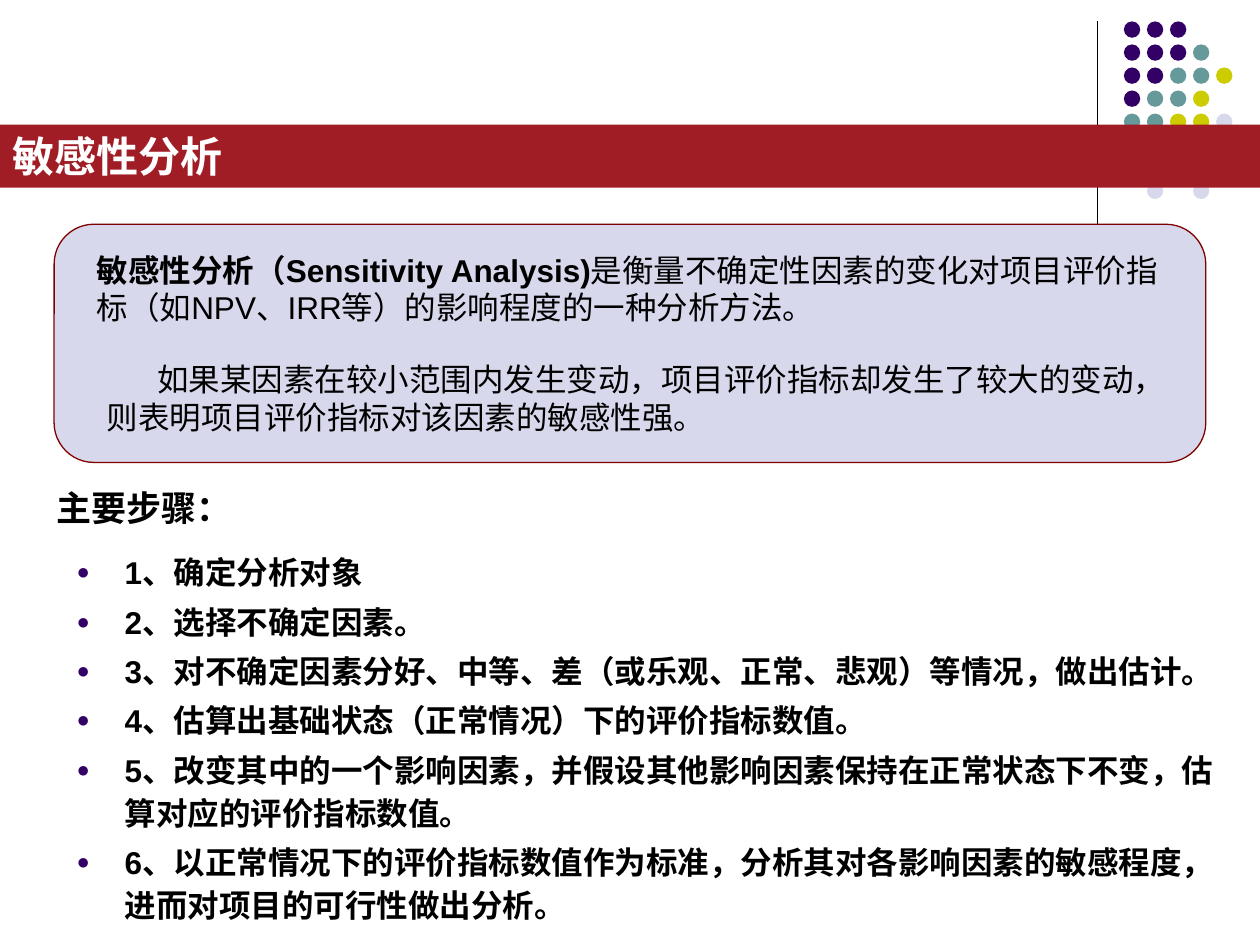
from dataclasses import dataclass

from lxml import etree
from pptx import Presentation
from pptx.dml.color import RGBColor
from pptx.enum.shapes import MSO_CONNECTOR, MSO_SHAPE
from pptx.enum.text import MSO_ANCHOR, PP_ALIGN
from pptx.oxml.ns import qn
from pptx.util import Inches, Pt

ELLIPSE = MSO_SHAPE.OVAL
RECTANGLE = MSO_SHAPE.RECTANGLE
ROUNDED = MSO_SHAPE.ROUNDED_RECTANGLE
STRAIGHT = MSO_CONNECTOR.STRAIGHT
JUSTIFY, LEFT = PP_ALIGN.JUSTIFY, PP_ALIGN.LEFT
MIDDLE, TOP = MSO_ANCHOR.MIDDLE, MSO_ANCHOR.TOP


@dataclass(frozen=True)
class Theme:
    font: str = "Arial"
    black: str = "000000"
    white: str = "FFFFFF"
    band: str = "A11D26"
    panel: str = "D8D8EC"
    panel_line: str = "800000"
    purple: str = "330066"
    teal: str = "669999"
    lime: str = "CCCC00"
    title_size: int = 24
    heading_size: int = 20
    body_size: int = 18
    line_width: float = 0.75


THEME = Theme()
DOT_COLORS = {"P": THEME.purple, "T": THEME.teal, "L": THEME.lime, "G": THEME.panel}
DOT_ROWS = ["PPP", "PPPT", "PPTTL", "PTTL", "TTLLG", "", "", " G G"]

STEPS = [
    "1、确定分析对象",
    "2、选择不确定因素。",
    "3、对不确定因素分好、中等、差（或乐观、正常、悲观）等情况，做出估计。",
    "4、估算出基础状态（正常情况）下的评价指标数值。",
    "5、改变其中的一个影响因素，并假设其他影响因素保持在正常状态下不变，估算对应的评价指标数值。",
    "6、以正常情况下的评价指标数值作为标准，分析其对各影响因素的敏感程度，进而对项目的可行性做出分析。",
]


def add_box(slide, kind, left, top, width, height, fill, line=None):
    shape = slide.shapes.add_shape(
        kind, Inches(left), Inches(top), Inches(width), Inches(height))
    shape.shadow.inherit = False
    shape.fill.solid()
    shape.fill.fore_color.rgb = RGBColor.from_string(fill)
    if line:
        shape.line.color.rgb = RGBColor.from_string(line)
        shape.line.width = Pt(THEME.line_width)
    else:
        shape.line.fill.background()
    return shape


def add_text_frame(slide, left, top, width, height, wrap=True, anchor=TOP):
    shape = slide.shapes.add_textbox(
        Inches(left), Inches(top), Inches(width), Inches(height))
    frame = shape.text_frame
    frame.word_wrap = wrap
    frame.vertical_anchor = anchor
    return frame


def add_run(paragraph, text, size, color=THEME.black, bold=False):
    run = paragraph.add_run()
    run.text = text
    run.font.name = THEME.font
    run.font.size = Pt(size)
    run.font.bold = bold
    run.font.color.rgb = RGBColor.from_string(color)


def set_indent(paragraph, margin, first_line):
    properties = paragraph._p.get_or_add_pPr()
    properties.set("marL", str(Inches(margin)))
    properties.set("indent", str(Inches(first_line)))
    return properties


def add_bullet(paragraph):
    properties = set_indent(paragraph, 0.38, -0.38)
    color = etree.SubElement(properties, qn("a:buClr"))
    etree.SubElement(color, qn("a:srgbClr"), val=THEME.purple)
    etree.SubElement(properties, qn("a:buSzPct"), val="70000")
    etree.SubElement(properties, qn("a:buFont"), typeface=THEME.font)
    etree.SubElement(properties, qn("a:buChar"), char="●")


def add_corner_ornament(slide, left, top):
    # Vertical rule
    rule = slide.shapes.add_connector(
        STRAIGHT, Inches(left), Inches(top), Inches(left), Inches(top + 1.66))
    rule.line.color.rgb = RGBColor.from_string(THEME.black)
    rule.line.width = Pt(THEME.line_width)
    etree.SubElement(rule._element.spPr, qn("a:effectLst"))
    # Dot grid
    pitch = 1.28 / 7
    for row, pattern in enumerate(DOT_ROWS):
        for column, key in enumerate(pattern):
            if key in DOT_COLORS:
                add_box(slide, ELLIPSE, left + 0.21 + column * pitch,
                        top + row * pitch, 0.13, 0.13, DOT_COLORS[key])


def add_title_band(slide, left, top, width, height):
    band = add_box(slide, RECTANGLE, left, top, width, height, THEME.band)
    band.text_frame.word_wrap = True
    band.text_frame.vertical_anchor = TOP
    paragraph = band.text_frame.paragraphs[0]
    paragraph.alignment = JUSTIFY
    add_run(paragraph, "敏感性分析", THEME.title_size, THEME.white, bold=True)


def add_definition_panel(slide, left, top, width, height):
    panel = add_box(slide, ROUNDED, left, top, width, height,
                    THEME.panel, THEME.panel_line)
    panel.adjustments[0] = 0.167
    # Definition
    frame = add_text_frame(slide, left + 0.24, top + 0.16, width - 0.4, 0.7)
    paragraph = frame.paragraphs[0]
    add_run(paragraph, "敏感性分析（Sensitivity Analysis)", THEME.body_size, bold=True)
    add_run(paragraph, "是衡量不确定性因素的变化对项目评价指标（如NPV、IRR等）的影响程度的一种分析方法。",
            THEME.body_size)
    # Interpretation
    frame = add_text_frame(slide, left + 0.32, top + 1.03, width - 0.56, 0.7)
    paragraph = frame.paragraphs[0]
    set_indent(paragraph, 0, 0.4)
    add_run(paragraph, "如果某因素在较小范围内发生变动，项目评价指标却发生了较大的变动，"
            "则表明项目评价指标对该因素的敏感性强。", THEME.body_size)


def add_steps(slide, left, top, width, height):
    # Heading
    frame = add_text_frame(slide, left, top, 1.6, 0.43, wrap=False, anchor=MIDDLE)
    frame.paragraphs[0].alignment = LEFT
    add_run(frame.paragraphs[0], "主要步骤：", THEME.heading_size, bold=True)
    # Bulleted list
    frame = add_text_frame(slide, left + 0.16, top + 0.49, width - 0.16, height - 0.49)
    for index, step in enumerate(STEPS):
        paragraph = frame.add_paragraph() if index else frame.paragraphs[0]
        paragraph.line_spacing = 1.14
        paragraph.space_before = Pt(0.2 * THEME.body_size)
        add_bullet(paragraph)
        add_run(paragraph, step, THEME.body_size, bold=True)


def main():
    presentation = Presentation()
    presentation.slide_width = Inches(10)
    presentation.slide_height = Inches(7.5)
    slide = presentation.slides.add_slide(presentation.slide_layouts[6])
    add_corner_ornament(slide, 8.71, 0.17)
    add_title_band(slide, 0, 0.99, 10, 0.5)
    add_definition_panel(slide, 0.43, 1.78, 9.14, 1.89)
    add_steps(slide, 0.35, 3.81, 9.45, 2.85)
    presentation.save("out.pptx")


if __name__ == "__main__":
    main()
